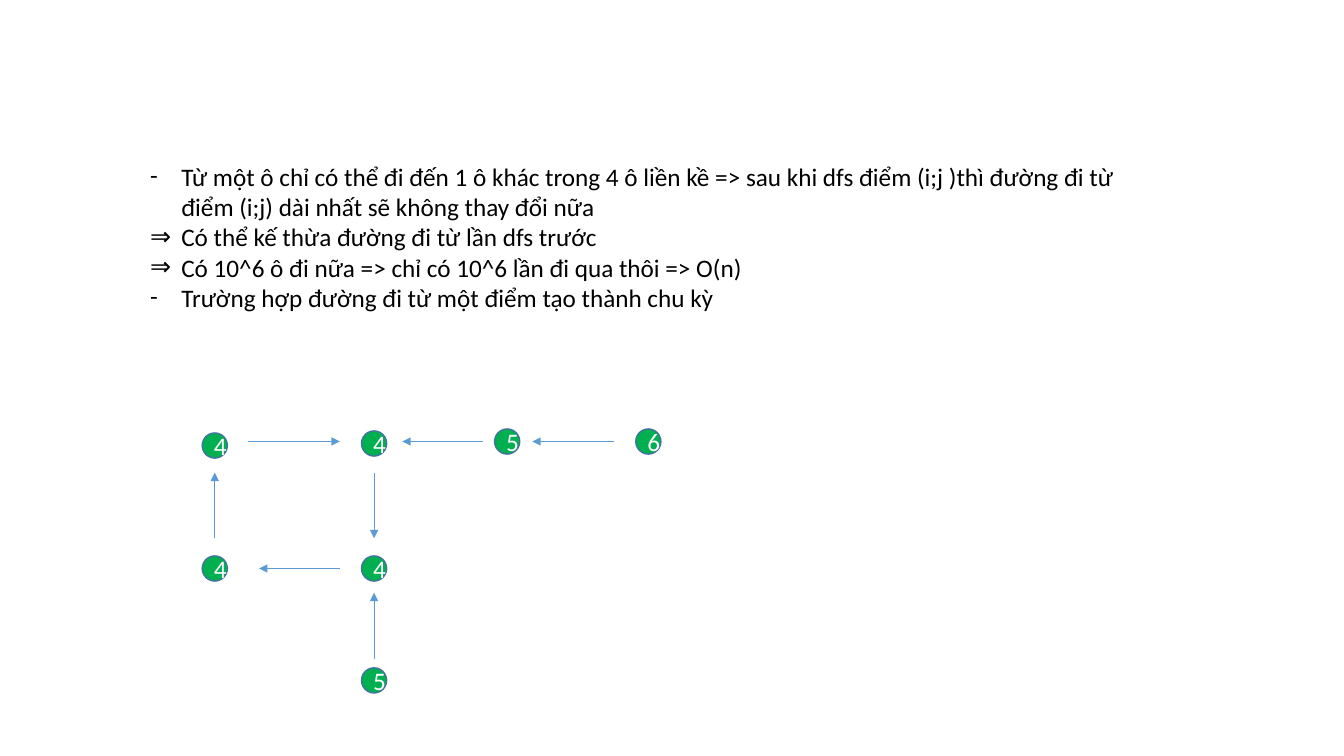
from pptx import Presentation
from pptx.dml.color import RGBColor
from pptx.enum.shapes import MSO_CONNECTOR as Connector, MSO_SHAPE as Shape
from pptx.enum.text import MSO_ANCHOR as Anchor, PP_ALIGN as Align
from pptx.oxml.xmlchemy import OxmlElement
from pptx.util import Inches, Pt

FONT = {"name": "Calibri", "size": Pt(18)}
HANGING = 0.31
DIAMETER = 0.25

NOTES = [
    ("-", "Từ một ô chỉ có thể đi đến 1 ô khác trong 4 ô liền kề => sau khi dfs điểm (i;j )"
          "thì đường đi từ điểm (i;j) dài nhất sẽ không thay đổi nữa"),
    ("⇒", "Có thể kế thừa đường đi từ lần dfs trước"),
    ("⇒", "Có 10^6 ô đi nữa => chỉ có 10^6 lần đi qua thôi => O(n)"),
    ("-", "Trường hợp đường đi từ một điểm tạo thành chu kỳ"),
]

# Grid lines through the node centres, measured from the graph's corner
COLUMNS = [0.13, 1.71, 3.03, 4.43]
ROWS = [0.13, 1.39, 2.5]

# Label, column, row, vertical nudge
NODES = [
    ("4", 0, 0, 0.04), ("4", 1, 0, 0.02), ("5", 2, 0, 0), ("6", 3, 0, 0),
    ("4", 0, 1, 0), ("4", 1, 1, 0), ("5", 1, 2, 0),
]

# Row, start x, end x
ROW_ARROWS = [(0, 0.46, 1.37), (0, 2.79, 1.99), (0, 4.09, 3.28), (1, 1.37, 0.57)]
# Column, start y, end y
COLUMN_ARROWS = [(1, 0.44, 1.09), (0, 1.09, 0.44), (1, 2.29, 1.63)]


def color(value):
    return RGBColor.from_string(value)


def format_run(run, value):
    for name, setting in FONT.items():
        setattr(run.font, name, setting)
    run.font.color.rgb = color(value)


def add_bullet(paragraph, character):
    properties = paragraph._p.get_or_add_pPr()
    properties.set("marL", str(Inches(HANGING)))
    properties.set("indent", str(-Inches(HANGING)))
    for tag, name, value in (("a:buFont", "typeface", FONT["name"]),
                             ("a:buChar", "char", character)):
        element = OxmlElement(tag)
        element.set(name, value)
        properties.append(element)


def add_notes(slide, left, top, width, height):
    box = slide.shapes.add_textbox(*map(Inches, (left, top, width, height)))
    frame = box.text_frame
    frame.word_wrap = True
    for index, (character, text) in enumerate(NOTES):
        paragraph = frame.add_paragraph() if index else frame.paragraphs[0]
        add_bullet(paragraph, character)
        run = paragraph.add_run()
        run.text = text
        format_run(run, "000000")


def add_node(slide, label, center_x, center_y):
    corner = (center_x - DIAMETER / 2, center_y - DIAMETER / 2)
    node = slide.shapes.add_shape(
        Shape.OVAL, *map(Inches, (*corner, DIAMETER, DIAMETER)))
    node.shadow.inherit = False
    node.fill.solid()
    node.fill.fore_color.rgb = color("00B050")
    node.line.color.rgb = color("43739E")
    node.line.width = Pt(1)
    node.text_frame.vertical_anchor = Anchor.MIDDLE
    paragraph = node.text_frame.paragraphs[0]
    paragraph.alignment = Align.CENTER
    run = paragraph.add_run()
    run.text = label
    format_run(run, "FFFFFF")


def add_arrow(slide, *ends):
    arrow = slide.shapes.add_connector(Connector.STRAIGHT, *map(Inches, ends))
    arrow.line.color.rgb = color("5B9BD5")
    arrow.line.width = Pt(0.5)
    head = OxmlElement("a:tailEnd")
    head.set("type", "triangle")
    arrow.line._get_or_add_ln().append(head)
    arrow._element.spPr.append(OxmlElement("a:effectLst"))


def add_graph(slide, left, top):
    for label, column, row, nudge in NODES:
        add_node(slide, label, left + COLUMNS[column], top + ROWS[row] + nudge)
    for row, start, end in ROW_ARROWS:
        y = top + ROWS[row]
        add_arrow(slide, left + start, y, left + end, y)
    for column, start, end in COLUMN_ARROWS:
        x = left + COLUMNS[column]
        add_arrow(slide, x, top + start, x, top + end)


def main():
    presentation = Presentation()
    presentation.slide_width = Inches(13.33)
    presentation.slide_height = Inches(7.5)
    slide = presentation.slides.add_slide(presentation.slide_layouts[6])
    add_notes(slide, 1.39, 1.55, 9.92, 1.62)
    add_graph(slide, 2, 4.25)
    presentation.save("out.pptx")


if __name__ == "__main__":
    main()
